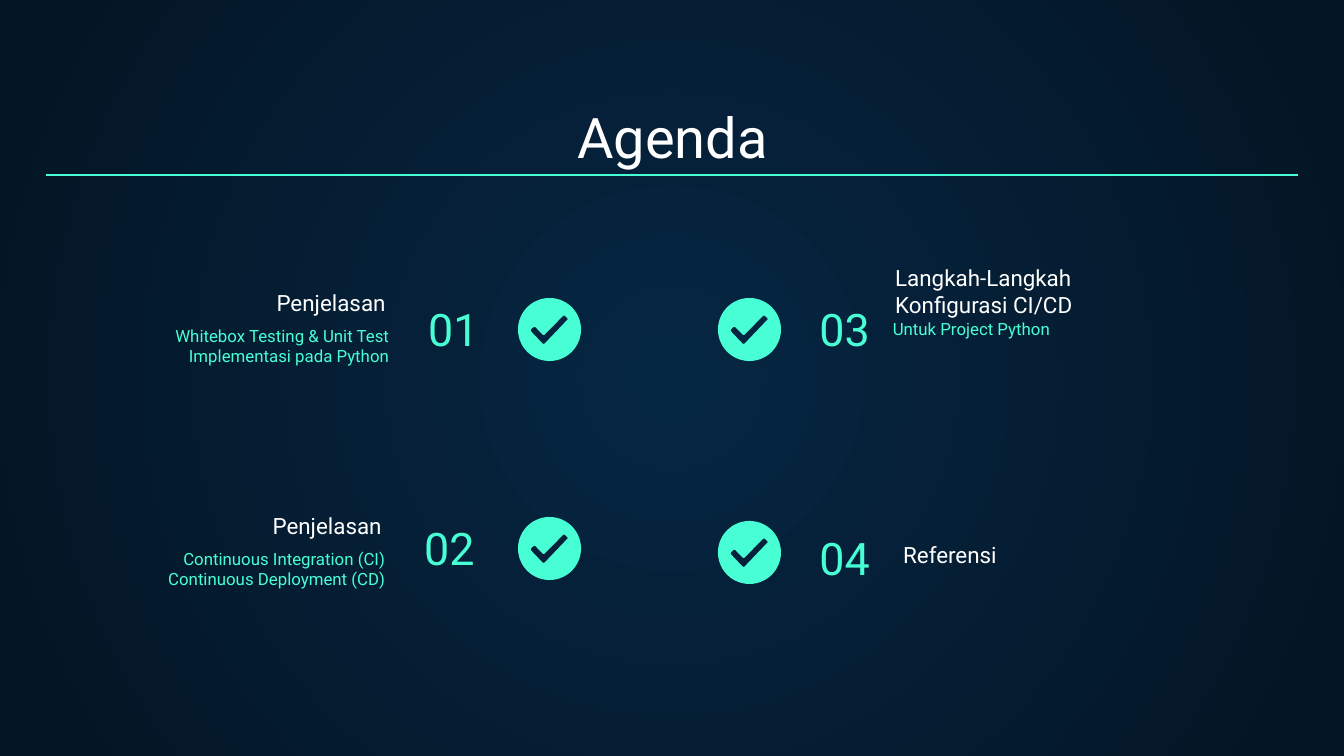
from math import cos, pi, sin

from lxml import etree
from pptx import Presentation
from pptx.dml.color import RGBColor
from pptx.enum.shapes import MSO_CONNECTOR as Connector
from pptx.enum.text import MSO_ANCHOR as Anchor, PP_ALIGN as Align
from pptx.oxml import parse_xml
from pptx.oxml.ns import nsdecls, qn
from pptx.util import Pt

SCALE = 914400 / 134.4  # EMU in one px
MINT, WHITE = "48FFD5", "FFFFFF"


def px(length):
    return round(length * SCALE)


def paint(fill, colour):
    fill.solid()
    fill.fore_color.rgb = RGBColor.from_string(colour)


deck = Presentation()
deck.slide_width, deck.slide_height = px(1344), px(756)
page = deck.slides.add_slide(deck.slide_layouts[6])

# Background: radial gradient from the centre
backdrop = page.background.fill
backdrop.gradient()
for stop, colour in zip(backdrop.gradient_stops, ("052643", "041523")):
    stop.color.rgb = RGBColor.from_string(colour)
linear = next(page.element.iter(qn("a:lin")))
linear.getparent().replace(linear, parse_xml(
    f'<a:path {nsdecls("a")} path="circle">'
    '<a:fillToRect l="50000" t="50000" r="50000" b="50000"/></a:path>'))

# Text styles
heading = {"size": 30, "colour": WHITE, "anchor": Anchor.BOTTOM}
number = {"size": 24, "colour": MINT, "anchor": Anchor.BOTTOM}
topic = {"size": 12, "colour": WHITE, "anchor": Anchor.BOTTOM}
detail = {"size": 9, "colour": MINT, "anchor": Anchor.TOP}

# Texts: wording, style, alignment, left, top, width, height
texts = [
    ("Agenda", heading, Align.CENTER, 46, 94, 1253, 89),
    ("01", number, Align.LEFT, 415, 280, 173, 89),
    ("02", number, Align.LEFT, 411, 499, 173, 89),
    ("03", number, Align.RIGHT, 710, 280, 173, 89),
    ("04", number, Align.RIGHT, 710, 509, 173, 89),
    ("Penjelasan", topic, Align.RIGHT, 94, 301, 305, 28),
    ("Penjelasan", topic, Align.RIGHT, 90, 524, 305, 28),
    ("Langkah-Langkah Konfigurasi CI/CD", topic, Align.LEFT, 882, 238, 305, 93),
    ("Referensi", topic, Align.LEFT, 890, 527, 305, 54),
    ("Whitebox Testing & Unit Test\nImplementasi pada Python",
     detail, Align.RIGHT, 106, 312, 296, 74),
    ("Continuous Integration (CI)\nContinuous Deployment (CD)",
     detail, Align.RIGHT, 102, 535, 296, 74),
    ("Untuk Project Python", detail, Align.RIGHT, 767, 309, 296, 74),
]
for wording, style, alignment, *place in texts:
    box = page.shapes.add_textbox(*map(px, place))
    frame = box.text_frame
    layout = {"word_wrap": True, "vertical_anchor": style["anchor"]}
    layout |= {f"margin_{side}": px(13.44) for side in ("left", "top", "right", "bottom")}
    for name, value in layout.items():
        setattr(frame, name, value)
    frame.text = wording
    for para in frame.paragraphs:
        para.alignment = alignment
        for span in para.runs:
            for name, value in {"name": "Roboto", "size": Pt(style["size"])}.items():
                setattr(span.font, name, value)
            paint(span.font.fill, style["colour"])

# Rule under the heading
rule = page.shapes.add_connector(Connector.STRAIGHT, px(46), px(175), px(1298), px(175))
rule.line.width = Pt(0.75)
paint(rule.line.fill, MINT)
etree.SubElement(rule.element.spPr, qn("a:effectLst"))

# Check icons: a disc with the tick cut out, drawn in tenths of a px
RADIUS, STEPS = 315, 72
disc = [(RADIUS + RADIUS * cos(2 * pi * step / STEPS),
         RADIUS + RADIUS * sin(2 * pi * step / STEPS)) for step in range(STEPS)]
tick = [(455, 177), (467, 177), (495, 203), (497, 214), (268, 454), (258, 460),
        (246, 456), (132, 336), (127, 324), (132, 313), (154, 291), (165, 287),
        (175, 292), (251, 370), (262, 370), (447, 182)]
for left, top in [(518, 298), (518, 517), (718, 298), (718, 521)]:
    outline = page.shapes.build_freeform(*disc[0], scale=SCALE / 10)
    outline.add_line_segments(disc[1:])
    outline.move_to(*tick[0])
    outline.add_line_segments(tick[1:])
    icon = outline.convert_to_shape(px(left), px(top))
    icon.shadow.inherit = False
    paint(icon.fill, MINT)
    icon.line.fill.background()

deck.save("out.pptx")
